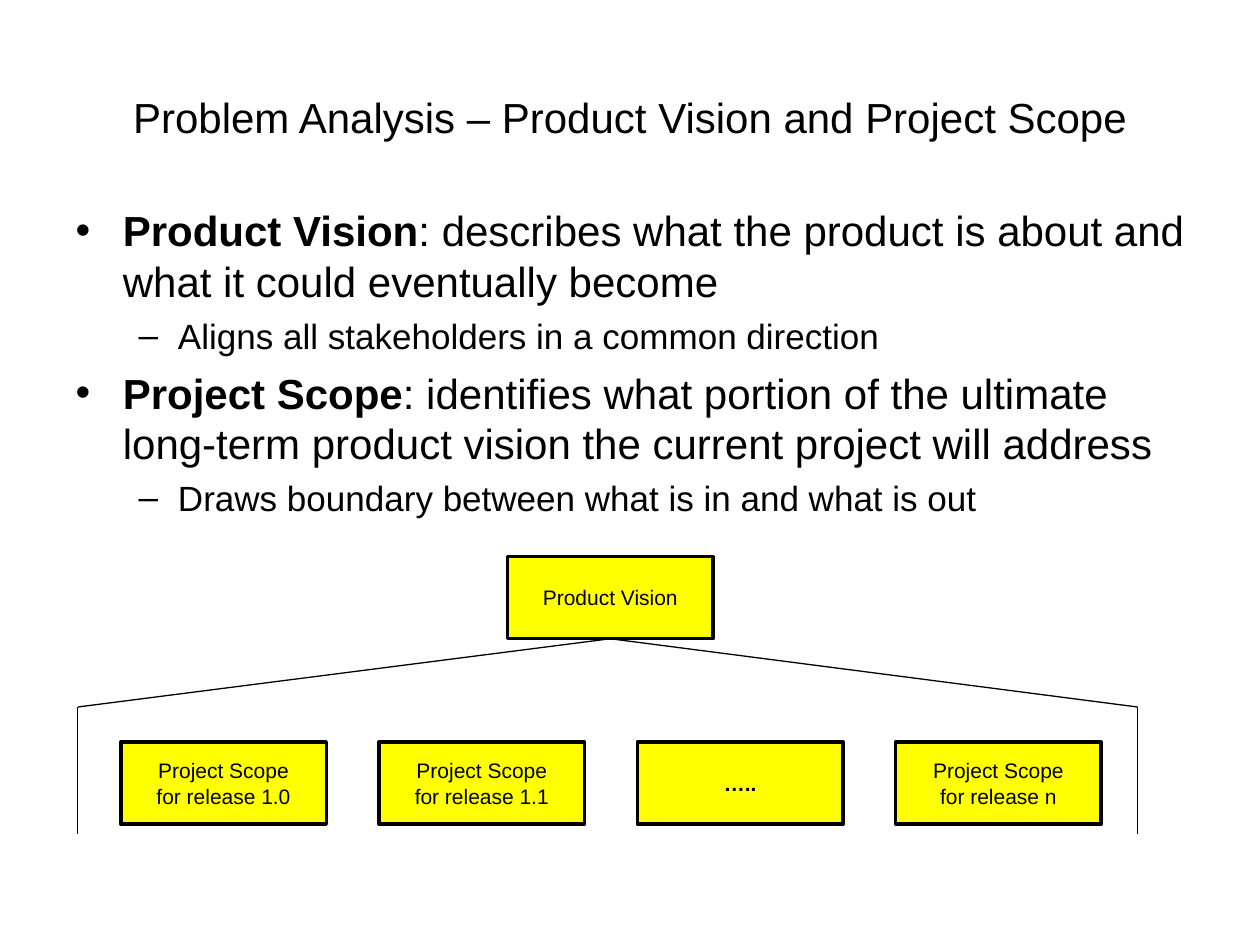
from lxml import etree
from pptx import Presentation
from pptx.dml.color import RGBColor
from pptx.enum.shapes import MSO_CONNECTOR, MSO_SHAPE
from pptx.enum.text import MSO_ANCHOR, MSO_AUTO_SIZE, PP_ALIGN
from pptx.oxml.ns import qn
from pptx.util import Pt

BLACK = RGBColor(0, 0, 0)
YELLOW = RGBColor(255, 255, 0)
FONT = "Arial"
CENTER = PP_ALIGN.CENTER
MIDDLE = MSO_ANCHOR.MIDDLE
STRAIGHT = MSO_CONNECTOR.STRAIGHT
RECTANGLE = MSO_SHAPE.RECTANGLE
BOTTOM_SITE = 2

TITLE = "Problem Analysis – Product Vision and Project Scope"
# (level, bold lead, remaining text)
POINTS = [
    (0, "Product Vision", ": describes what the product is about and what it could eventually become"),
    (1, "", "Aligns all stakeholders in a common direction"),
    (0, "Project Scope", ": identifies what portion of the ultimate long-term product vision "
                         "the current project will address"),
    (1, "", "Draws boundary between what is in and what is out"),
]
# size, space before, left margin, hanging indent, bullet
LEVELS = [(24, 6, 27, 27, "•"), (20, 5, 58.5, 22.5, "–")]
VISION = "Product Vision"
SCOPES = [  # (text, bold)
    ("Project Scope\vfor release 1.0", False),
    ("Project Scope\vfor release 1.1", False),
    ("…..", True),
    ("Project Scope\vfor release n", False),
]

BOX_WIDTH, BOX_HEIGHT = 117.5, 47
VISION_LEFT, VISION_TOP = 290, 318
SCOPE_LEFT, SCOPE_TOP, SCOPE_STEP = 69, 424, 147.6
BRACKET_SIDES = (44.5, 650)
BRACKET_TOP, BRACKET_BOTTOM = 404, 476.5


def add_text(paragraph, text, size, bold=False, align=None, space_before=0):
    paragraph.alignment = align
    paragraph.space_before = Pt(space_before)
    for index, line in enumerate(text.split("\v")):
        if index:
            paragraph.add_line_break()
        run = paragraph.add_run()
        run.text = line
        run.font.name = FONT
        run.font.size = Pt(size)
        run.font.bold = bold
        run.font.color.rgb = BLACK


def place(shape, left, top, width, height):
    shape.left, shape.top = Pt(left), Pt(top)
    shape.width, shape.height = Pt(width), Pt(height)


def set_bullet(paragraph, margin, hanging, character):
    properties = paragraph._p.get_or_add_pPr()
    properties.set("marL", str(Pt(margin)))
    properties.set("indent", str(-Pt(hanging)))
    font = etree.SubElement(properties, qn("a:buFont"))
    font.set("typeface", FONT)
    bullet = etree.SubElement(properties, qn("a:buChar"))
    bullet.set("char", character)


def add_line(shapes, start, end):
    line = shapes.add_connector(STRAIGHT, *(Pt(value) for value in start + end))
    line.line.color.rgb = BLACK
    line.line.width = Pt(0.75)
    etree.SubElement(line._element.spPr, qn("a:effectLst"))
    return line


def add_box(shapes, left, top, text, bold=False):
    box = shapes.add_shape(RECTANGLE, Pt(left), Pt(top), Pt(BOX_WIDTH), Pt(BOX_HEIGHT))
    box.shadow.inherit = False
    box.fill.solid()
    box.fill.fore_color.rgb = YELLOW
    box.line.color.rgb = BLACK
    box.line.width = Pt(2)
    frame = box.text_frame
    frame.word_wrap = True
    frame.vertical_anchor = MIDDLE
    frame.margin_left = frame.margin_right = Pt(4.5)
    frame.margin_top = frame.margin_bottom = Pt(3.6)
    add_text(frame.paragraphs[0], text, 12, bold=bold, align=CENTER, space_before=7.5)
    return box


def main():
    presentation = Presentation()
    presentation.slide_width, presentation.slide_height = Pt(720), Pt(540)
    slide = presentation.slides.add_slide(presentation.slide_layouts[1])
    shapes = slide.shapes

    title = shapes.title
    place(title, 36, 21.6, 648, 90)
    title.text_frame.vertical_anchor = MIDDLE
    title.text_frame.auto_size = MSO_AUTO_SIZE.NONE
    add_text(title.text_frame.paragraphs[0], TITLE, 24, align=CENTER)

    body = slide.placeholders[1]
    place(body, 36, 113.5, 648, 356.5)
    frame = body.text_frame
    frame.auto_size = MSO_AUTO_SIZE.NONE
    for index, (level, lead, text) in enumerate(POINTS):
        paragraph = frame.add_paragraph() if index else frame.paragraphs[0]
        paragraph.level = level
        size, space_before, margin, hanging, character = LEVELS[level]
        if lead:
            add_text(paragraph, lead, size, bold=True)
        add_text(paragraph, text, size, space_before=space_before)
        set_bullet(paragraph, margin, hanging, character)

    apex = (VISION_LEFT + BOX_WIDTH / 2, VISION_TOP + BOX_HEIGHT)
    slopes = []
    for side in BRACKET_SIDES:
        add_line(shapes, (side, BRACKET_BOTTOM), (side, BRACKET_TOP))
        slopes.append(add_line(shapes, (side, BRACKET_TOP), apex))

    vision = add_box(shapes, VISION_LEFT, VISION_TOP, VISION)
    for slope in slopes:
        slope.end_connect(vision, BOTTOM_SITE)
    for column, (text, bold) in enumerate(SCOPES):
        add_box(shapes, SCOPE_LEFT + column * SCOPE_STEP, SCOPE_TOP, text, bold=bold)

    presentation.save("out.pptx")


if __name__ == "__main__":
    main()
